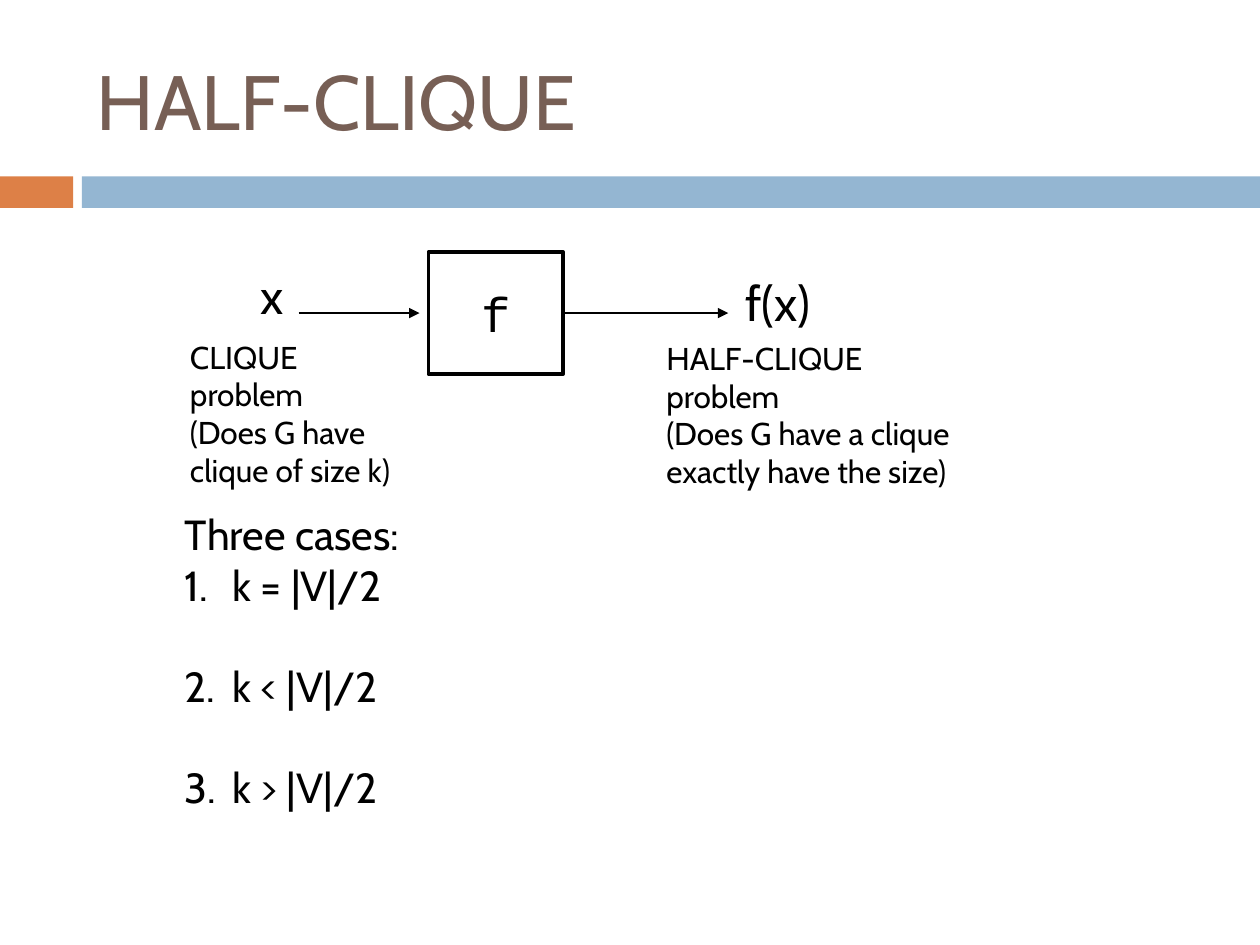
from dataclasses import dataclass

from lxml import etree
from pptx import Presentation
from pptx.dml.color import RGBColor
from pptx.enum.shapes import MSO_CONNECTOR, MSO_SHAPE
from pptx.enum.text import MSO_ANCHOR, PP_ALIGN
from pptx.oxml.ns import qn
from pptx.util import Inches, Pt

RECT = MSO_SHAPE.RECTANGLE
STRAIGHT = MSO_CONNECTOR.STRAIGHT
MIDDLE, TOP = MSO_ANCHOR.MIDDLE, MSO_ANCHOR.TOP
CENTER, LEFT = PP_ALIGN.CENTER, PP_ALIGN.LEFT
WIDTH, HEIGHT = Inches(10), Inches(7.5)
COLS, ROWS = 100, 75
RIGHT_SIDE = 3


@dataclass(frozen=True)
class Theme:
    """Colours, fonts and type sizes of the slide."""
    orange: str = "DD8047"
    blue: str = "94B6D2"
    brown: str = "775F55"
    black: str = "000000"
    white: str = "FFFFFF"
    sans: str = "Cabin"
    mono: str = "Courier New"
    title: int = 44
    symbol: int = 28
    cases: int = 24
    note: int = 18


THEME = Theme()


def col(n):
    """Turn grid columns into a length."""
    return round(WIDTH * n / COLS)


def row(n):
    """Turn grid rows into a length."""
    return round(HEIGHT * n / ROWS)


def place(x, y, w, h):
    """Turn a grid cell range into left, top, width and height."""
    return col(x), row(y), col(w), row(h)


def write(para, text, size, color=THEME.black, font=THEME.sans):
    """Add one styled run to a paragraph."""
    run = para.add_run()
    run.text = text
    run.font.size = Pt(size)
    run.font.name = font
    run.font.color.rgb = RGBColor.from_string(color)


def add_text(slide, area, lines, size, color=THEME.black, anchor=TOP):
    """Add a text box with one paragraph per line and return its frame."""
    frame = slide.shapes.add_textbox(*place(*area)).text_frame
    frame.word_wrap = True
    frame.vertical_anchor = anchor
    for i, line in enumerate(lines):
        para = frame.add_paragraph() if i else frame.paragraphs[0]
        para.alignment = LEFT
        write(para, line, size, color)
    return frame


def add_rect(slide, area, fill, edge=None):
    """Add a plain rectangle, outlined when an edge colour is given."""
    rect = slide.shapes.add_shape(RECT, *place(*area))
    rect.shadow.inherit = False
    rect.fill.solid()
    rect.fill.fore_color.rgb = RGBColor.from_string(fill)
    if edge:
        rect.line.color.rgb = RGBColor.from_string(edge)
        rect.line.width = Pt(2)
    else:
        rect.line.fill.background()
    return rect


def add_arrow(slide, start, end, y):
    """Add a level arrow between two columns."""
    arrow = slide.shapes.add_connector(
        STRAIGHT, col(start), row(y), col(end), row(y))
    arrow.line.color.rgb = RGBColor.from_string(THEME.black)
    arrow.line.width = Pt(1.5)
    etree.SubElement(arrow.line._get_or_add_ln(), qn("a:tailEnd"), type="triangle")
    etree.SubElement(arrow._element.spPr, qn("a:effectLst"))
    return arrow


def number(para):
    """Give a paragraph a hanging automatic number."""
    props = para._p.get_or_add_pPr()
    props.set("marL", str(col(3.75)))
    props.set("indent", str(-col(3.75)))
    etree.SubElement(props, qn("a:buFont"), typeface="+mj-lt")
    etree.SubElement(props, qn("a:buAutoNum"), type="arabicPeriod")


def add_header(slide):
    """Add the two bars and the title."""
    add_rect(slide, (0, 14, 5.8, 2.5), THEME.orange)
    add_rect(slide, (6.5, 14, 93.5, 2.5), THEME.blue)
    add_text(slide, (6.7, 2.5, 89.2, 10.8), ["HALF-CLIQUE"],
             THEME.title, THEME.brown, MIDDLE)


def add_map(slide):
    """Add the reduction from x through f to f(x)."""
    box = add_rect(slide, (34, 20, 10.7, 9.7), THEME.white, THEME.black)
    frame = box.text_frame
    frame.vertical_anchor = MIDDLE
    para = frame.paragraphs[0]
    para.alignment = CENTER
    write(para, "f", THEME.symbol, font=THEME.mono)
    level = 20 + 9.7 / 2
    add_arrow(slide, 23.7, 33.3, level)
    add_arrow(slide, 44.7, 57.8, level).begin_connect(box, RIGHT_SIDE)
    add_text(slide, (19.7, 20.6, 4, 5.7), ["x"], THEME.symbol)
    add_text(slide, (58.2, 21.1, 7.4, 5.7), ["f(x)"], THEME.symbol)
    add_text(slide, (14.1, 26.3, 18.7, 10.1),
             ["CLIQUE problem", "(Does G have", "clique of size k)"], THEME.note)
    add_text(slide, (51.9, 26.4, 24.6, 10.1),
             ["HALF-CLIQUE problem", "(Does G have a clique",
              "exactly have the size)"], THEME.note)


def add_cases(slide):
    """Add the numbered list of cases."""
    lines = ["Three cases:"] + [f"k {sign} |V|/2" for sign in "=<>"]
    frame = add_text(slide, (13.7, 39.9, 20.3, 29.3), lines, THEME.cases)
    items = frame.paragraphs[1:]
    for para in items[:-1]:
        para.space_after = Pt(29)
    for para in items:
        number(para)


def main():
    """Build and save the slide."""
    deck = Presentation()
    deck.slide_width, deck.slide_height = WIDTH, HEIGHT
    slide = deck.slides.add_slide(deck.slide_layouts[6])
    add_header(slide)
    add_map(slide)
    add_cases(slide)
    deck.save("out.pptx")


if __name__ == "__main__":
    main()
